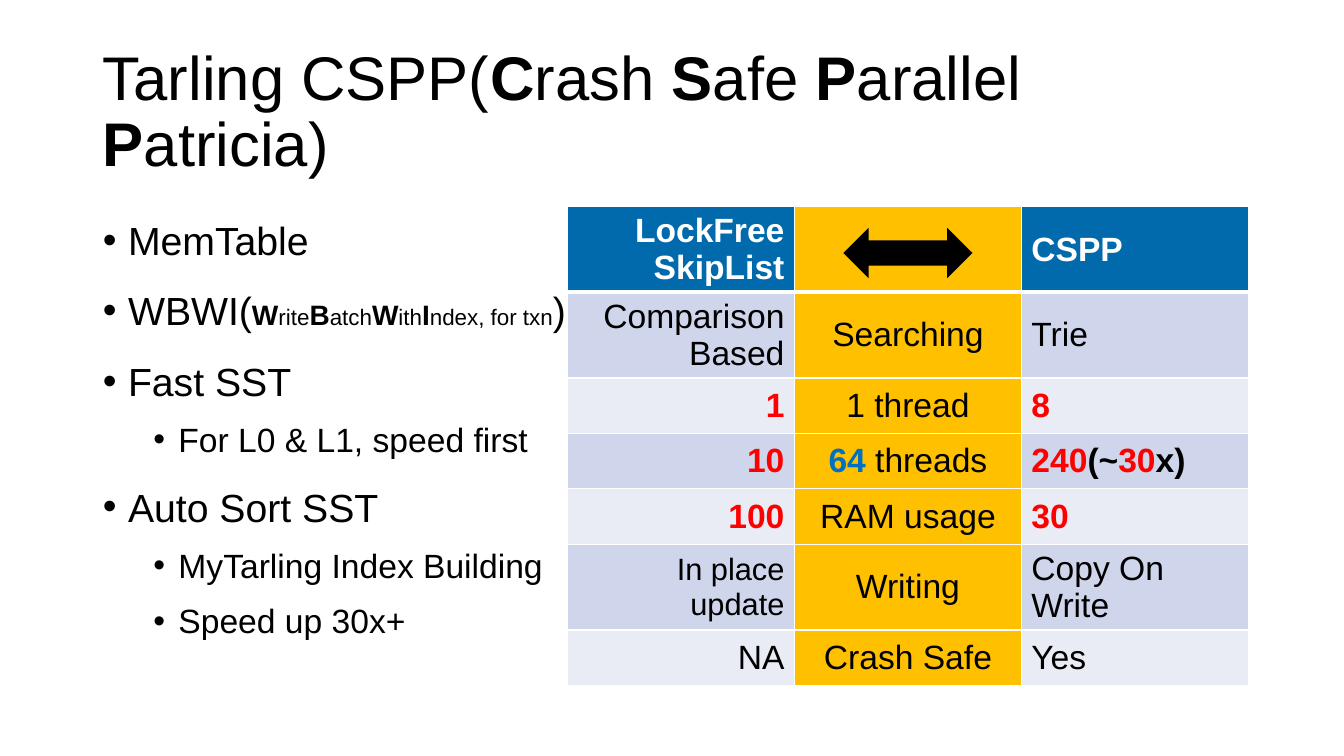
from lxml import etree
from pptx import Presentation
from pptx.dml.color import RGBColor
from pptx.enum.shapes import MSO_SHAPE
from pptx.enum.text import MSO_ANCHOR, MSO_AUTO_SIZE, PP_ALIGN
from pptx.oxml.ns import qn
from pptx.util import Inches, Pt

LEFT, CENTER, RIGHT = PP_ALIGN.LEFT, PP_ALIGN.CENTER, PP_ALIGN.RIGHT
TOP, MIDDLE = MSO_ANCHOR.TOP, MSO_ANCHOR.MIDDLE
NO_AUTOFIT = MSO_AUTO_SIZE.NONE
DOUBLE_ARROW = MSO_SHAPE.LEFT_RIGHT_ARROW

COLORS = {
    "black": "000000", "white": "FFFFFF", "red": "FF0000", "blue": "0070C0",
    "header": "006AAC", "gold": "FFC000", "band_dark": "CFD5EA", "band_light": "E9EBF5",
}
FONT = "Arial"

TITLE = [("Tarling CSPP(", False), ("C", True), ("rash ", False), ("S", True), ("afe ", False),
         ("P", True), ("arallel ", False), ("P", True), ("atricia)", False)]

# Each bullet: level, runs of (text, size, bold)
BULLETS = [
    (0, [("MemTable", 28, False)]),
    (0, [("WBWI(", 28, False), ("W", 20, True), ("rite", 16, False), ("B", 20, True),
         ("atch", 16, False), ("W", 20, True), ("ith", 16, False), ("I", 20, True),
         ("ndex, for txn", 16, False), (")", 28, False)]),
    (0, [("Fast SST", 28, False)]),
    (1, [("For L0 & L1, speed first", 24, False)]),
    (0, [("Auto Sort SST", 28, False)]),
    (1, [("MyTarling Index Building", 24, False)]),
    (1, [("Speed up 30x+", 24, False)]),
]


def plain(text, size=24):
    return [(text, size, False, "black")]


def strong(text, color="red"):
    return [(text, 24, True, color)]


# Each cell: a list of paragraphs, each a list of runs
ROWS = [
    (0.85, [strong("LockFree SkipList", "white")], [], [strong("CSPP", "white")]),
    (0.85, [plain("Comparison"), plain("Based")], [plain("Searching")], [plain("Trie")]),
    (0.55, [strong("1")], [plain("1 thread")], [strong("8")]),
    (0.55, [strong("10")], [strong("64 ", "blue") + plain("threads")],
     [strong("240") + strong("(~", "black") + strong("30") + strong("x)", "black")]),
    (0.55, [strong("100")], [plain("RAM usage")], [strong("30")]),
    (0.85, [plain("In place update", 22)], [plain("Writing")], [plain("Copy On Write")]),
    (0.55, [plain("NA")], [plain("Crash Safe")], [plain("Yes")]),
]
COLUMN_ALIGNS = [RIGHT, CENTER, LEFT]


def rgb(name):
    return RGBColor.from_string(COLORS[name])


def add_run(p, text, size, bold=False, color="black"):
    r = p.add_run()
    r.text = text
    r.font.name = FONT
    r.font.size = Pt(size)
    r.font.bold = bold
    r.font.color.rgb = rgb(color)


def place(sp, x, y, w, h, anchor):
    """Move a placeholder and return its text frame."""
    sp.left, sp.top, sp.width, sp.height = (Inches(v) for v in (x, y, w, h))
    tf = sp.text_frame
    tf.word_wrap = True
    tf.auto_size = NO_AUTOFIT
    tf.vertical_anchor = anchor
    return tf


def paragraph(tf, index):
    return tf.paragraphs[0] if index == 0 else tf.add_paragraph()


def set_bullet(p, level):
    pPr = p._p.get_or_add_pPr()
    pPr.set("marL", str(Inches(0.25 + 0.5 * level)))
    pPr.set("indent", str(Inches(-0.25)))
    etree.SubElement(pPr, qn("a:buFont"), typeface=FONT)
    etree.SubElement(pPr, qn("a:buChar"), char="•")


def fill_title(sp, x, y, w, h):
    p = place(sp, x, y, w, h, MIDDLE).paragraphs[0]
    p.alignment = LEFT
    p.line_spacing = 0.9
    for text, bold in TITLE:
        add_run(p, text, 44, bold)


def fill_bullets(sp, x, y, w, h):
    tf = place(sp, x, y, w, h, TOP)
    for i, (level, runs) in enumerate(BULLETS):
        p = paragraph(tf, i)
        p.level = level
        p.line_spacing = 1.2
        p.space_before = Pt(0 if i == 0 else 5 if level else 10)
        set_bullet(p, level)
        for run in runs:
            add_run(p, *run)


def set_borders(cell, bottom):
    tcPr = cell._tc.get_or_add_tcPr()
    for i, (side, width) in enumerate([("lnL", 1), ("lnR", 1), ("lnT", 1), ("lnB", bottom)]):
        ln = etree.Element(qn(f"a:{side}"), w=str(Pt(width)))
        solid = etree.SubElement(ln, qn("a:solidFill"))
        etree.SubElement(solid, qn("a:srgbClr"), val=COLORS["white"])
        tcPr.insert(i, ln)


def cell_fill(row, col):
    if col == 1:
        return "gold"
    if row == 0:
        return "header"
    return "band_dark" if row % 2 else "band_light"


def add_comparison(s, x, y, w):
    """Comparison table with a double arrow in its middle header cell."""
    height = sum(row[0] for row in ROWS)
    table = s.shapes.add_table(len(ROWS), len(COLUMN_ALIGNS), Inches(x), Inches(y),
                               Inches(w), Inches(height)).table
    for i, (row_height, *cells) in enumerate(ROWS):
        table.rows[i].height = Inches(row_height)
        for j, paragraphs in enumerate(cells):
            cell = table.cell(i, j)
            cell.fill.solid()
            cell.fill.fore_color.rgb = rgb(cell_fill(i, j))
            cell.vertical_anchor = MIDDLE
            set_borders(cell, 1 if i else 3)
            for k, runs in enumerate(paragraphs):
                p = paragraph(cell.text_frame, k)
                p.alignment = COLUMN_ALIGNS[j]
                for run in runs:
                    add_run(p, *run)

    arrow_w, arrow_h = 1.28, 0.5
    arrow = s.shapes.add_shape(DOUBLE_ARROW, Inches(x + (w - arrow_w) / 2), Inches(y + 0.21),
                               Inches(arrow_w), Inches(arrow_h))
    arrow.shadow.inherit = False
    arrow.fill.solid()
    arrow.fill.fore_color.rgb = rgb("black")
    arrow.line.fill.background()


def main():
    prs = Presentation()
    prs.slide_width, prs.slide_height = Inches(13.33), Inches(7.5)
    s = prs.slides.add_slide(prs.slide_layouts[1])
    fill_title(s.shapes.title, 0.92, 0.4, 11.5, 1.45)
    fill_bullets(s.placeholders[1], 0.92, 2, 11.5, 4.76)
    add_comparison(s, 5.63, 2.05, 6.75)
    prs.save("out.pptx")


if __name__ == "__main__":
    main()
